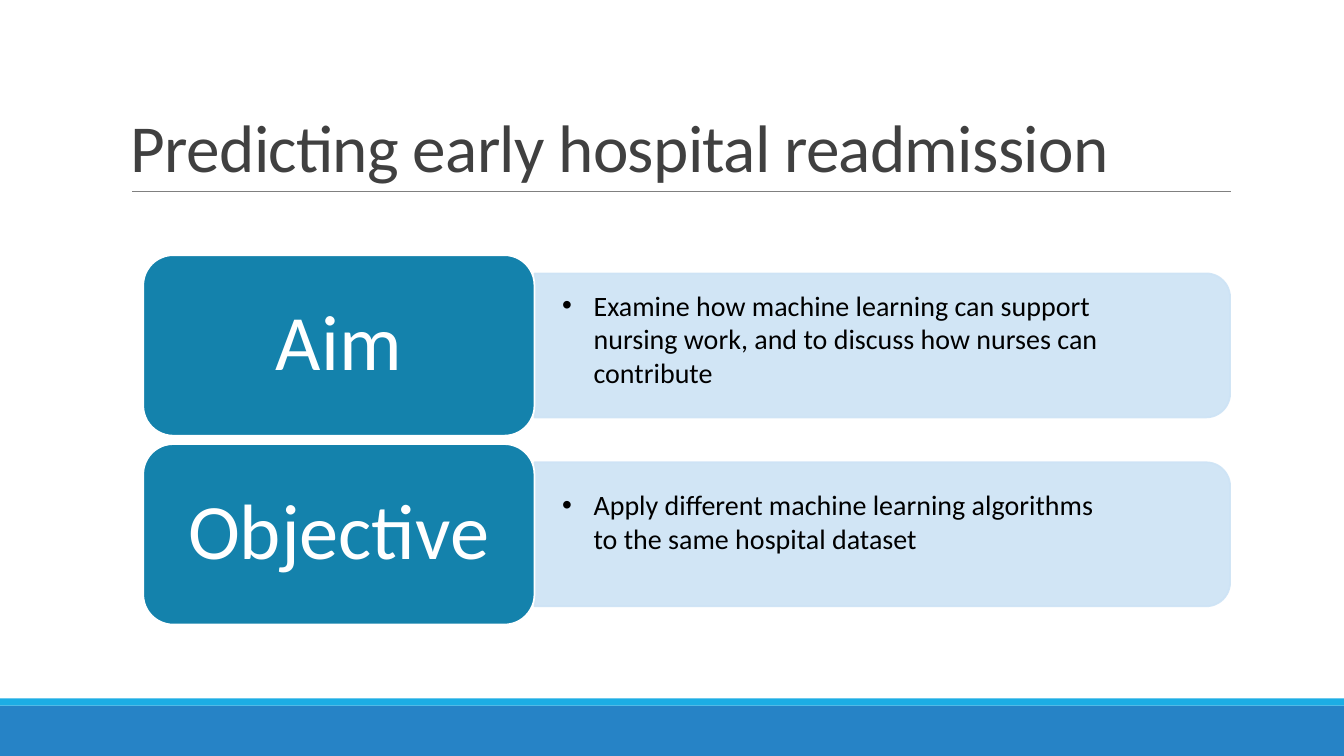
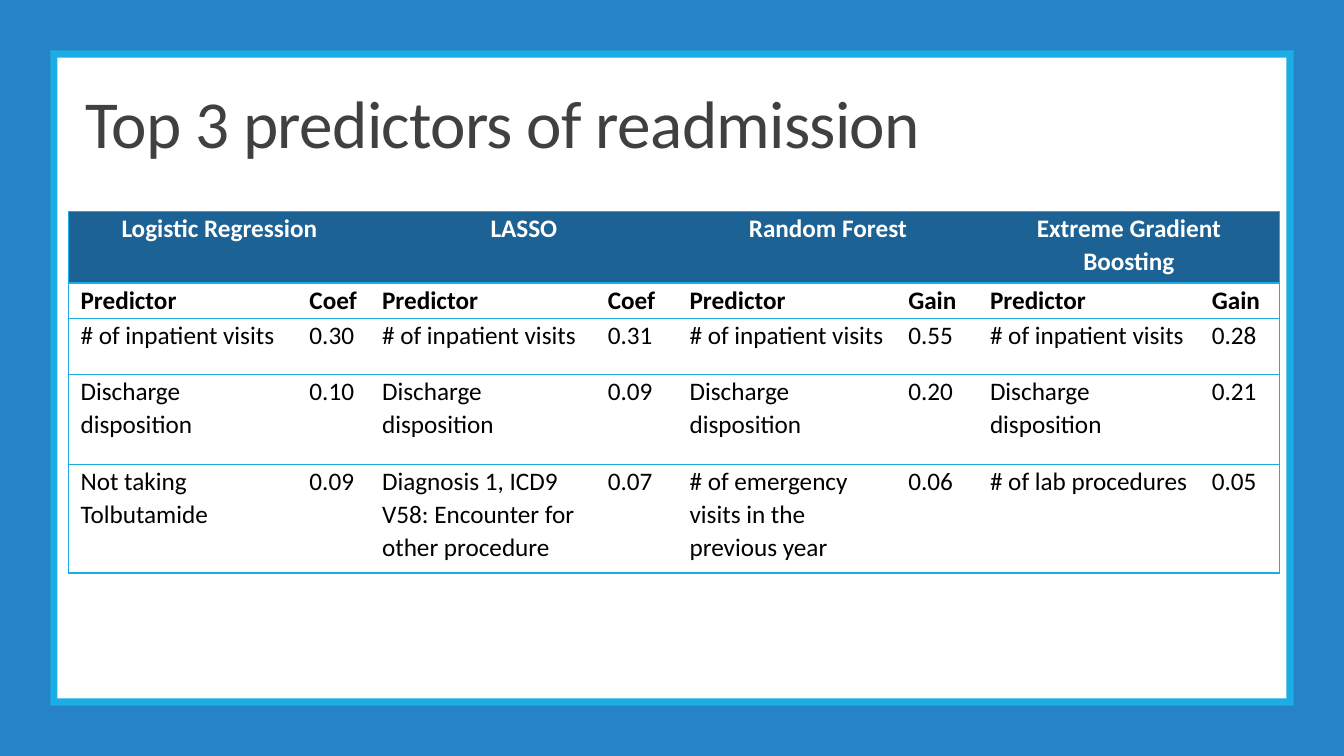
from dataclasses import dataclass

from lxml import etree
from pptx import Presentation
from pptx.dml.color import RGBColor
from pptx.enum import shapes, text
from pptx.oxml import ns
from pptx.util import Cm, Pt


@dataclass(frozen=True)
class Theme:
    font: str = "Calibri"
    blue: str = "2683C6"
    cyan: str = "1CADE4"
    navy: str = "1D6294"
    teal: str = "1482AC"
    pale: str = "CDE3F5"
    grey: str = "808080"
    title: str = "404040"
    white: str = "FFFFFF"
    black: str = "000000"
    title_pt: int = 48
    tile_pt: int = 56
    body_pt: int = 20
    table_pt: int = 18


T = Theme()
WIDTH, HEIGHT = 33.87, 19.05

AIM_TITLE = "Predicting early hospital readmission"
# label, statement, top of the statement, height of the statement
CARDS = [
    ("Aim", "Examine how machine learning can support nursing work, "
            "and to discuss how nurses can contribute", 7.14, 3.58),
    ("Objective", "Apply different machine learning algorithms "
                  "to the same hospital dataset", 12.17, 2.74),
]

PREDICTORS_TITLE = "Top 3 predictors of readmission"
VISITS, DISCHARGE = "# of inpatient visits", "Discharge disposition"
MODELS = [
    ("Logistic Regression", "Coef",
     [(VISITS, "0.30"), (DISCHARGE, "0.10"), ("Not taking Tolbutamide", "0.09")]),
    ("LASSO", "Coef",
     [(VISITS, "0.31"), (DISCHARGE, "0.09"),
      ("Diagnosis 1, ICD9 V58: Encounter for other procedure", "0.07")]),
    ("Random Forest", "Gain",
     [(VISITS, "0.55"), (DISCHARGE, "0.20"),
      ("# of emergency visits in the previous year", "0.06")]),
    ("Extreme Gradient Boosting", "Gain",
     [(VISITS, "0.28"), (DISCHARGE, "0.21"), ("# of lab procedures", "0.05")]),
]
COL_WIDTHS = [5.77, 1.83, 5.69, 2.06, 5.51, 2.06, 5.59, 2.01]
ROW_HEIGHTS = [1.8, 0.89, 1.42, 2.26, 2.74]


def rgb(color):
    return RGBColor.from_string(color)


def add_block(s, kind, box, fill, line=None):
    sp = s.shapes.add_shape(kind, *map(Cm, box))
    sp.shadow.inherit = False
    sp.fill.solid()
    sp.fill.fore_color.rgb = rgb(fill)
    if line:
        sp.line.color.rgb = rgb(line)
        sp.line.width = Pt(1.25)
    else:
        sp.line.fill.background()
    return sp


def add_rect(s, box, fill):
    return add_block(s, shapes.MSO_SHAPE.RECTANGLE, box, fill)


def write(tf, content, size, color, bold=False, align=text.PP_ALIGN.LEFT, spacing=None):
    tf.text = content
    tf.word_wrap = True
    p = tf.paragraphs[0]
    p.alignment = align
    if spacing:
        p.line_spacing = spacing
    font = p.runs[0].font
    font.name, font.size, font.bold = T.font, Pt(size), bold
    font.color.rgb = rgb(color)
    return p


def add_title(s, content, box):
    tf = s.shapes.add_textbox(*map(Cm, box)).text_frame
    tf.vertical_anchor = text.MSO_ANCHOR.BOTTOM
    p = write(tf, content, T.title_pt, T.title, spacing=0.85)
    p.runs[0]._r.get_or_add_rPr().set("spc", "-50")


def add_bullet(p, indent):
    pPr = p._p.get_or_add_pPr()
    pPr.set("marL", str(indent))
    pPr.set("indent", str(-indent))
    etree.SubElement(pPr, ns.qn("a:buFont")).set("typeface", "Arial")
    etree.SubElement(pPr, ns.qn("a:buChar")).set("char", "•")


def set_opacity(sp, percent):
    for color in sp._element.spPr.iter(ns.qn("a:srgbClr")):
        etree.SubElement(color, ns.qn("a:alpha")).set("val", str(percent * 1000))


def add_rule(s, left, right, y):
    rule = s.shapes.add_connector(shapes.MSO_CONNECTOR.STRAIGHT,
                                  Cm(left), Cm(y), Cm(right), Cm(y))
    rule.line.color.rgb = rgb(T.grey)
    rule.line.width = Pt(0.5)
    etree.SubElement(rule._element.spPr, ns.qn("a:effectLst"))


def add_card(s, top, label, statement, text_top, text_height):
    tile_left, tile_w, tile_h = 3.61, 9.86, 4.55
    panel_w, panel_h = 17.53, 3.63
    panel_left = tile_left + tile_w
    # The panel is a tall shape turned by 90 degrees about its centre.
    center_x, center_y = panel_left + panel_w / 2, top + tile_h / 2
    panel = add_block(s, shapes.MSO_SHAPE.ROUND_2_SAME_RECTANGLE,
                      (center_x - panel_h / 2, center_y - panel_w / 2, panel_h, panel_w),
                      T.pale, T.pale)
    panel.rotation = 90
    set_opacity(panel, 90)

    tile = add_block(s, shapes.MSO_SHAPE.ROUNDED_RECTANGLE,
                     (tile_left, top, tile_w, tile_h), T.teal, T.white)
    tf = tile.text_frame
    tf.margin_left = tf.margin_right = Cm(0.58)
    tf.margin_top = tf.margin_bottom = Cm(0.3)
    tf.vertical_anchor = text.MSO_ANCHOR.MIDDLE
    write(tf, label, T.tile_pt, T.white, align=text.PP_ALIGN.CENTER, spacing=0.9)

    box = s.shapes.add_textbox(Cm(panel_left + 0.45), Cm(text_top), Cm(14.12), Cm(text_height))
    add_bullet(write(box.text_frame, statement, T.body_pt, T.black), Cm(0.79))


def set_borders(cell, edges):
    """Draw the named edges (L, R, T, B) and clear the others."""
    tcPr = cell._tc.get_or_add_tcPr()
    for i, edge in enumerate("LRTB"):
        ln = etree.Element(ns.qn(f"a:ln{edge}"), w=str(Pt(1)))
        if edge in edges:
            fill = etree.SubElement(ln, ns.qn("a:solidFill"))
            etree.SubElement(fill, ns.qn("a:srgbClr")).set("val", T.cyan)
        else:
            etree.SubElement(ln, ns.qn("a:noFill"))
        tcPr.insert(i, ln)


def table_rows():
    rows = [[], []]
    for name, measure, _ in MODELS:
        rows[0] += [name, ""]
        rows[1] += ["Predictor", measure]
    for ranked in zip(*(predictors for _, _, predictors in MODELS)):
        rows.append([value for pair in ranked for value in pair])
    return rows


def add_predictor_table(s, left, top):
    rows, cols = len(ROW_HEIGHTS), len(COL_WIDTHS)
    table = s.shapes.add_table(rows, cols, Cm(left), Cm(top),
                               Cm(sum(COL_WIDTHS)), Cm(sum(ROW_HEIGHTS))).table
    for column, width in zip(table.columns, COL_WIDTHS):
        column.width = Cm(width)
    for row, height in zip(table.rows, ROW_HEIGHTS):
        row.height = Cm(height)
    for c in range(0, cols, 2):
        table.cell(0, c).merge(table.cell(0, c + 1))

    for r, values in enumerate(table_rows()):
        head = r == 0
        for c, value in enumerate(values):
            cell = table.cell(r, c)
            cell.margin_left = cell.margin_right = Cm(0.3)
            cell.margin_top = cell.margin_bottom = 0
            cell.fill.solid()
            cell.fill.fore_color.rgb = rgb(T.navy if head else T.white)
            span = cell.span_width if cell.is_merge_origin else 1
            set_borders(cell, "TB" + "L" * (c == 0) + "R" * (c + span == cols))
            if value:
                write(cell.text_frame, value, T.table_pt, T.white if head else T.black,
                      bold=r < 2, spacing=1.07,
                      align=text.PP_ALIGN.CENTER if head else text.PP_ALIGN.LEFT)


def build_aim(s):
    add_rect(s, (0, 17.78, WIDTH, 1.27), T.blue)
    add_rect(s, (0, 17.6, WIDTH, 0.18), T.cyan)
    add_rule(s, 3.33, 31.01, 4.83)
    add_title(s, AIM_TITLE, (3.05, 0.79, 27.94, 4.04))
    for i, card in enumerate(CARDS):
        add_card(s, 6.43 + i * 4.76, *card)


def build_predictors(s):
    for inset, color in ((0, T.blue), (1.27, T.cyan), (1.45, T.white)):
        add_rect(s, (inset, inset, WIDTH - 2 * inset, HEIGHT - 2 * inset), color)
    add_predictor_table(s, 1.73, 5.33)
    add_title(s, PREDICTORS_TITLE, (1.91, 1.55, 27.94, 2.67))


def main():
    prs = Presentation()
    prs.slide_width, prs.slide_height = Cm(WIDTH), Cm(HEIGHT)
    for build in (build_aim, build_predictors):
        build(prs.slides.add_slide(prs.slide_layouts[6]))
    prs.save("out.pptx")


if __name__ == "__main__":
    main()
